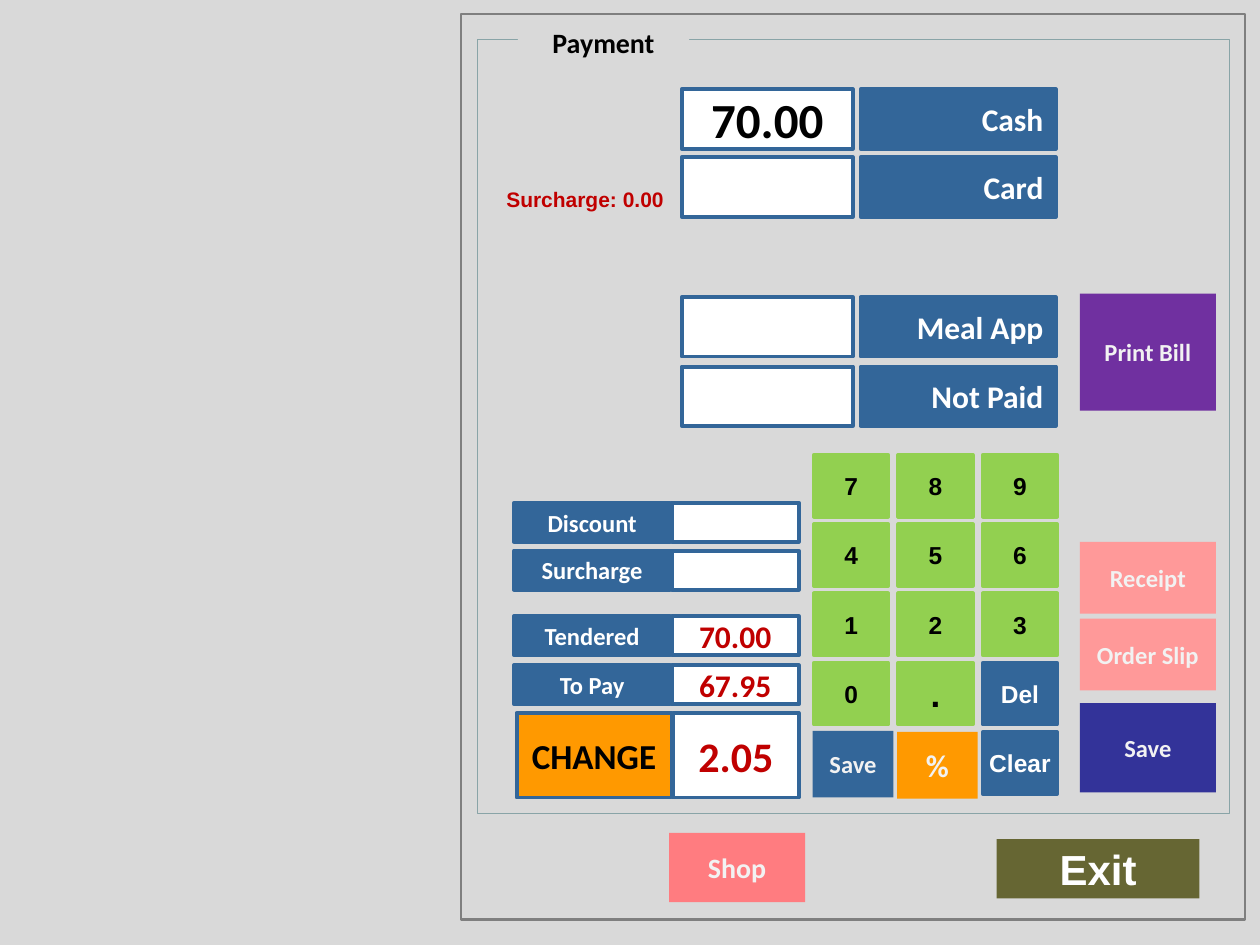
from pptx import Presentation
from pptx.dml.color import RGBColor
from pptx.enum.shapes import MSO_SHAPE
from pptx.enum.text import MSO_ANCHOR, MSO_AUTO_SIZE, PP_ALIGN
from pptx.util import Inches, Pt

RECTANGLE = MSO_SHAPE.RECTANGLE
MIDDLE, TOP = MSO_ANCHOR.MIDDLE, MSO_ANCHOR.TOP
LEFT, CENTER, RIGHT = PP_ALIGN.LEFT, PP_ALIGN.CENTER, PP_ALIGN.RIGHT
GROW = MSO_AUTO_SIZE.SHAPE_TO_FIT_TEXT

BLACK = RGBColor(0x00, 0x00, 0x00)
WHITE = RGBColor(0xFF, 0xFF, 0xFF)
PALE = RGBColor(0xF2, 0xF2, 0xF2)
GREY = RGBColor(0xD9, 0xD9, 0xD9)
DARK_GREY = RGBColor(0x7F, 0x7F, 0x7F)
TEAL_GREY = RGBColor(0x89, 0xA4, 0xA7)
BLUE = RGBColor(0x33, 0x66, 0x99)
NAVY = RGBColor(0x33, 0x33, 0x99)
GREEN = RGBColor(0x92, 0xD0, 0x50)
ORANGE = RGBColor(0xFF, 0x99, 0x00)
RED = RGBColor(0xC0, 0x00, 0x00)
PURPLE = RGBColor(0x70, 0x30, 0xA0)
PINK = RGBColor(0xFF, 0x99, 0x99)
CORAL = RGBColor(0xFF, 0x7C, 0x80)
OLIVE = RGBColor(0x66, 0x66, 0x33)

deck = Presentation()
deck.slide_width, deck.slide_height = Inches(10), Inches(7.5)
page = deck.slides.add_slide(deck.slide_layouts[5])  # Title Only


def write(box, text, size, color, font="Calibri", align=CENTER, anchor=MIDDLE, wrap=False):
    frame = box.text_frame
    frame.word_wrap = wrap
    frame.vertical_anchor = anchor
    para = frame.paragraphs[0]
    para.alignment = align
    span = para.add_run()
    span.text = text
    span.font.name, span.font.size, span.font.bold = font, Pt(size), True
    span.font.color.rgb = color


def add_box(left, top, width, height, fill=None, line=None, weight=2.25):
    box = page.shapes.add_shape(RECTANGLE, Inches(left), Inches(top), Inches(width), Inches(height))
    box.shadow.inherit = False
    if fill is None:
        box.fill.background()
    else:
        box.fill.solid()
        box.fill.fore_color.rgb = fill
    if line is None:
        box.line.fill.background()
    else:
        box.line.color.rgb = line
        box.line.width = Pt(weight)
    return box


# Backdrop and frames
add_box(0, 0, 10, 7.5, GREY)
add_box(3.66, 0.11, 6.22, 7.19, line=DARK_GREY, weight=1.5)
add_box(3.79, 0.31, 5.97, 6.15, line=TEAL_GREY, weight=0.5)

# Heading sits in a gap of the inner frame, so it goes above the frame
heading = page.shapes.title
page.shapes._spTree.append(heading._element)
heading.left, heading.top = Inches(4.11), Inches(0.15)
heading.width, heading.height = Inches(1.36), Inches(0.37)
heading.fill.solid()
heading.fill.fore_color.rgb = GREY
write(heading, "Payment", 16, BLACK, anchor=TOP, wrap=True)
heading.text_frame.auto_size = GROW

# Payment methods: amount field and button
for top, method, amount in [(0.71, "Cash", "70.00"), (1.25, "Card", ""),
                            (2.36, "Meal App", ""), (2.91, "Not Paid", "")]:
    button = add_box(6.83, top, 1.55, 0.47, BLUE, BLUE)
    write(button, method, 18, WHITE, align=RIGHT)
    field = add_box(5.41, top, 1.36, 0.47, WHITE, BLUE)
    if amount:
        write(field, amount, 28, BLACK)

# Card surcharge note
note = page.shapes.add_textbox(Inches(3.92), Inches(1.43), Inches(1.45), Inches(0.3))
write(note, "Surcharge: 0.00", 12, RED, "Arial", LEFT, TOP)
note.text_frame.auto_size = GROW

# Totals: label and value
for top, label, value in [(3.99, "Discount", ""), (4.37, "Surcharge", ""),
                          (4.89, "Tendered", "70.00"), (5.28, "To Pay", "67.95")]:
    write(add_box(4.08, top, 1.24, 0.31, BLUE, BLUE), label, 14, WHITE)
    field = add_box(5.33, top, 1.01, 0.31, WHITE, BLUE)
    if value:
        write(field, value, 18, RED)
write(add_box(4.1, 5.66, 1.23, 0.67, ORANGE, BLUE), "CHANGE", 20, BLACK)
write(add_box(5.34, 5.66, 1, 0.67, WHITE, BLUE), "2.05", 24, RED)

# Keypad on an even grid
KEY_LEFT, KEY_TOP, KEY_STEP_X, KEY_STEP_Y = 6.46, 3.61, 0.67, 0.55
KEYS = [["7", "8", "9"], ["4", "5", "6"], ["1", "2", "3"], ["0", ".", "Del"], ["", "", "Clear"]]
for row, labels in enumerate(KEYS):
    for column, label in enumerate(labels):
        if not label:
            continue
        is_command = len(label) > 1
        color = BLUE if is_command else GREEN
        key = add_box(KEY_LEFT + column * KEY_STEP_X, KEY_TOP + row * KEY_STEP_Y,
                      0.59, 0.49, color, color)
        write(key, label, 20 if label == "." else 14, WHITE if is_command else BLACK, "Arial")

# Borderless buttons
for left, top, width, height, fill, label, size in [
    (6.45, 5.8, 0.64, 0.53, BLUE, "Save", 14),
    (7.12, 5.81, 0.64, 0.53, ORANGE, "%", 18),
    (8.57, 2.33, 1.08, 0.93, PURPLE, "Print Bill", 14),
    (8.57, 4.3, 1.08, 0.57, PINK, "Receipt", 14),
    (8.57, 4.91, 1.08, 0.57, PINK, "Order Slip", 14),
    (8.57, 5.58, 1.08, 0.71, NAVY, "Save", 14),
    (5.31, 6.61, 1.08, 0.55, CORAL, "Shop", 16),
]:
    write(add_box(left, top, width, height, fill), label, size, PALE)
write(add_box(7.91, 6.66, 1.61, 0.47, OLIVE), "Exit", 24, WHITE, "Arial")

deck.save("out.pptx")
